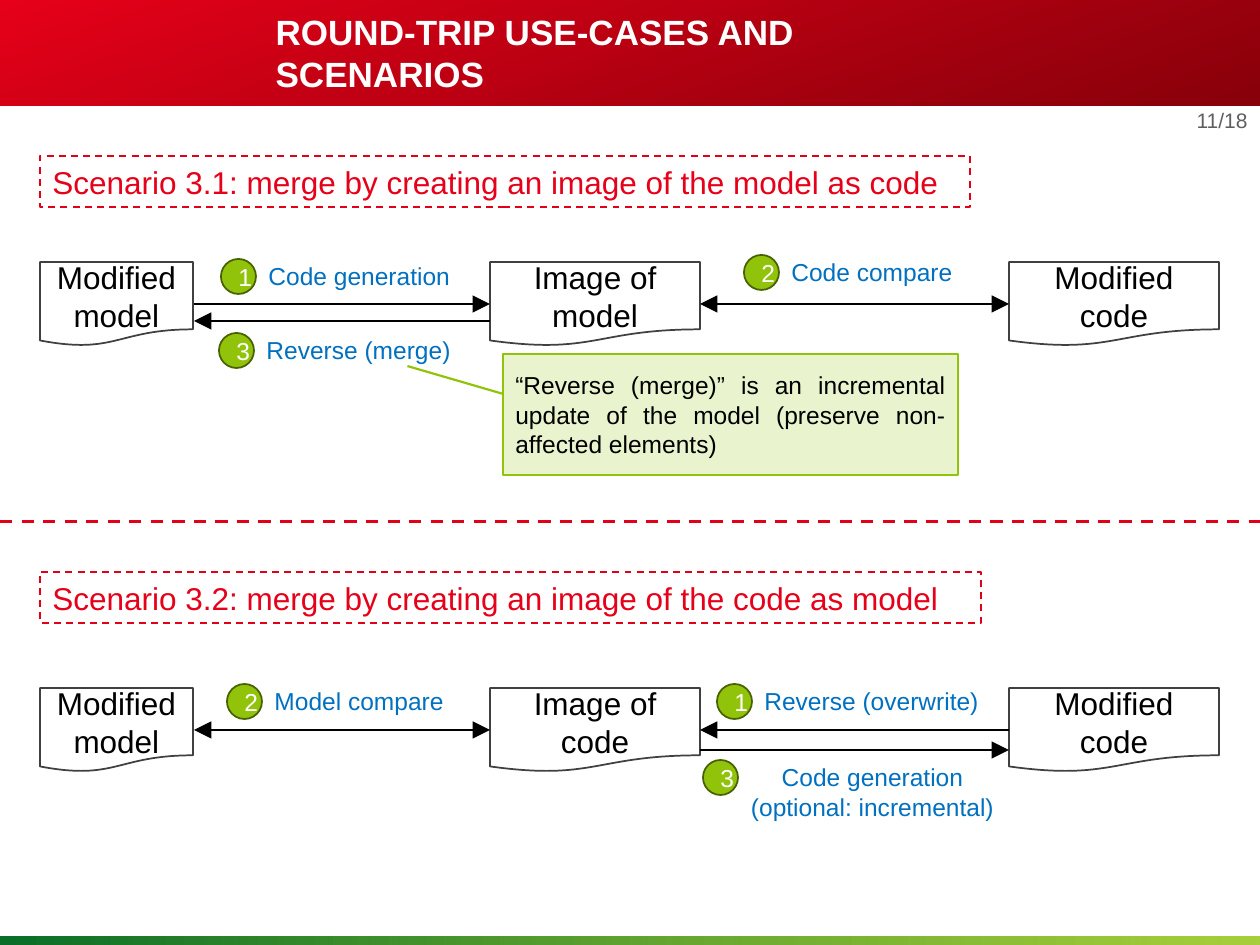
"""Build the slide on round-trip use-cases and scenarios."""
import pptx
import pptx.dml.color
import pptx.enum.dml
import pptx.enum.shapes
import pptx.enum.text
import pptx.oxml
import pptx.oxml.ns
import pptx.util
from lxml import etree

RGB = pptx.dml.color.RGBColor
RED = RGB(0xE6, 0x00, 0x19)
EDGE = RGB(0xE1, 0x00, 0x18)
WINE = RGB(0x87, 0x00, 0x0A)
PINE = RGB(0x0A, 0x6E, 0x28)
LIME = RGB(0x91, 0xC3, 0x0A)
OLIVE = RGB(0x48, 0x61, 0x05)
BLUE = RGB(0x00, 0x70, 0xC0)
GRAY = RGB(0x5F, 0x5F, 0x5F)
DARK = RGB(0x40, 0x40, 0x40)
BLACK = RGB(0x00, 0x00, 0x00)
WHITE = RGB(0xFF, 0xFF, 0xFF)

FORM = pptx.enum.shapes.MSO_SHAPE
ALIGN = pptx.enum.text.PP_ALIGN
MID = pptx.enum.text.MSO_ANCHOR.MIDDLE
DASH = pptx.enum.dml.MSO_LINE.DASH
qn = pptx.oxml.ns.qn


def px(*spans):
    return [pptx.util.Emu(round(span * 914400 / 126)) for span in spans]


def write(frame, text, size=14, color=BLACK, bold=False, align=ALIGN.LEFT,
          anchor=None, wrap=True, after=0):
    frame.word_wrap = wrap
    if anchor is not None:
        frame.vertical_anchor = anchor
    frame.text = text
    for para in frame.paragraphs:
        para.alignment = align
        para.space_before = pptx.util.Pt(0)
        para.space_after = pptx.util.Pt(after)
        para.font.name = "Arial"
        para.font.size = pptx.util.Pt(size)
        para.font.bold = bold
        para.font.color.rgb = color


def fade(node, share):
    etree.SubElement(node, qn("a:alpha"), val=str(share * 1000))


class Deck:
    """Holds the style and the current slide."""

    def __init__(self):
        self.show = pptx.Presentation()
        self.show.slide_width, self.show.slide_height = px(1260, 945)
        self.slide = self.show.slides.add_slide(self.show.slide_layouts[5])
        self.shapes = self.slide.shapes

    def shape(self, form, box, fill=None, edge=None, width=1, home=None):
        item = (home or self.shapes).add_shape(form, *px(*box))
        item.shadow.inherit = False
        if fill is None:
            item.fill.background()
        else:
            item.fill.solid()
            item.fill.fore_color.rgb = fill
        if edge is None:
            item.line.fill.background()
        else:
            item.line.color.rgb = edge
            item.line.width = pptx.util.Pt(width)
        return item

    def band(self, box, angle, first, last, share=100):
        item = self.shape(FORM.RECTANGLE, box)
        item.fill.gradient()
        item.fill.gradient_angle = angle
        for stop, color in zip(item.fill.gradient_stops, (first, last)):
            stop.color.rgb = color
        if share < 100:
            fade(item.element.findall(".//" + qn("a:srgbClr"))[-1], share)

    def title(self, box, text):
        item = self.shapes.title
        item.left, item.top, item.width, item.height = px(*box)
        item.text_frame.auto_size = pptx.enum.text.MSO_AUTO_SIZE.NONE
        write(item.text_frame, text, size=20, color=WHITE, bold=True,
              anchor=MID, after=4)
        item.element.getparent().append(item.element)

    def text(self, box, text, home=None, **fmt):
        item = (home or self.shapes).add_textbox(*px(*box))
        write(item.text_frame, text, **fmt)

    def head(self, box, text):
        item = self.shape(FORM.RECTANGLE, box, edge=EDGE)
        item.line.dash_style = DASH
        write(item.text_frame, text, size=18, color=RED, wrap=False)

    def page(self, box, text):
        item = self.shape(FORM.FLOWCHART_DOCUMENT, box, edge=DARK)
        write(item.text_frame, text, size=18, align=ALIGN.CENTER, anchor=MID)

    def step(self, left, top, mark, text, width, high=43, align=ALIGN.LEFT):
        group = self.shapes.add_group_shape().shapes
        dot = self.shape(FORM.OVAL, (left, top, 35, 35), LIME, OLIVE, home=group)
        write(dot.text_frame, mark, color=WHITE, align=ALIGN.CENTER, anchor=MID)
        self.text((left + 35, top - 4, width, high), text, home=group,
                  color=BLUE, align=align, wrap=False)

    def line(self, start, end, row, color=BLACK, width=1, ends=(), dash=None):
        kind = pptx.enum.shapes.MSO_CONNECTOR.STRAIGHT
        item = self.shapes.add_connector(kind, *px(start, row, end, row))
        item.line.color.rgb = color
        item.line.width = pptx.util.Pt(width)
        if dash is not None:
            item.line.dash_style = dash
        edge = item.element.find(".//" + qn("a:ln"))
        for tip in ends:
            etree.SubElement(edge, qn("a:" + tip), type="triangle", w="lg", len="lg")
        etree.SubElement(item.element.spPr, qn("a:effectLst"))

    def note(self, box, text, bends):
        item = self.shape(FORM.LINE_CALLOUT_1, box, LIME, LIME, 1.25)
        for place, bend in enumerate(bends):
            item.adjustments[place] = bend
        fade(item.element.spPr.find(qn("a:solidFill")).find(qn("a:srgbClr")), 20)
        write(item.text_frame, text, align=ALIGN.JUSTIFY, anchor=MID)


def main():
    deck = Deck()
    deck.band((0, 0, 1260, 106), 290, RED, WINE)
    deck.band((0, 937, 1260, 8), 0, PINE, LIME, 80)
    deck.title((263, 13, 665, 79), "ROUND-TRIP USE-CASES AND SCENARIOS")
    deck.text((1155, 101, 105, 38), "11/18", size=12, color=GRAY, align=ALIGN.RIGHT)
    deck.line(0, 1260, 522, EDGE, 1.75, dash=DASH)

    deck.head((40, 156, 930, 51),
              "Scenario 3.1: merge by creating an image of the model as code")
    deck.head((40, 572, 941, 51),
              "Scenario 3.2: merge by creating an image of the code as model")

    for top, middle in ((262, "Image of model"), (688, "Image of code")):
        for left, width, text in ((40, 153, "Modified model"),
                                  (490, 210, middle),
                                  (1009, 210, "Modified code")):
            deck.page((left, top, width, 84), text)

    both = ("headEnd", "tailEnd")
    west, east = (194, 490), (700, 1009)
    for span, row, ends in ((west, 304, both[1:]), (west, 321, both[:1]),
                            (east, 304, both), (west, 730, both),
                            (east, 730, both[:1]), (east, 750, both[1:])):
        deck.line(*span, row, ends=ends)

    for left, top, mark, text, width in (
            (221, 259, "1", "Code generation", 208),
            (744, 255, "2", "Code compare", 188),
            (219, 333, "3", "Reverse (merge)", 210),
            (227, 684, "2", "Model compare", 195),
            (717, 684, "1", "Reverse (overwrite)", 241)):
        deck.step(left, top, mark, text, width)
    deck.step(703, 760, "3", "Code generation\n(optional: incremental)",
              269, 72, ALIGN.CENTER)

    deck.note((503, 354, 455, 121),
              "“Reverse (merge)” is an incremental update of the model "
              "(preserve non-affected elements)", (0.33, 0, 0.1, -0.21))
    deck.show.save("out.pptx")


if __name__ == "__main__":
    main()
